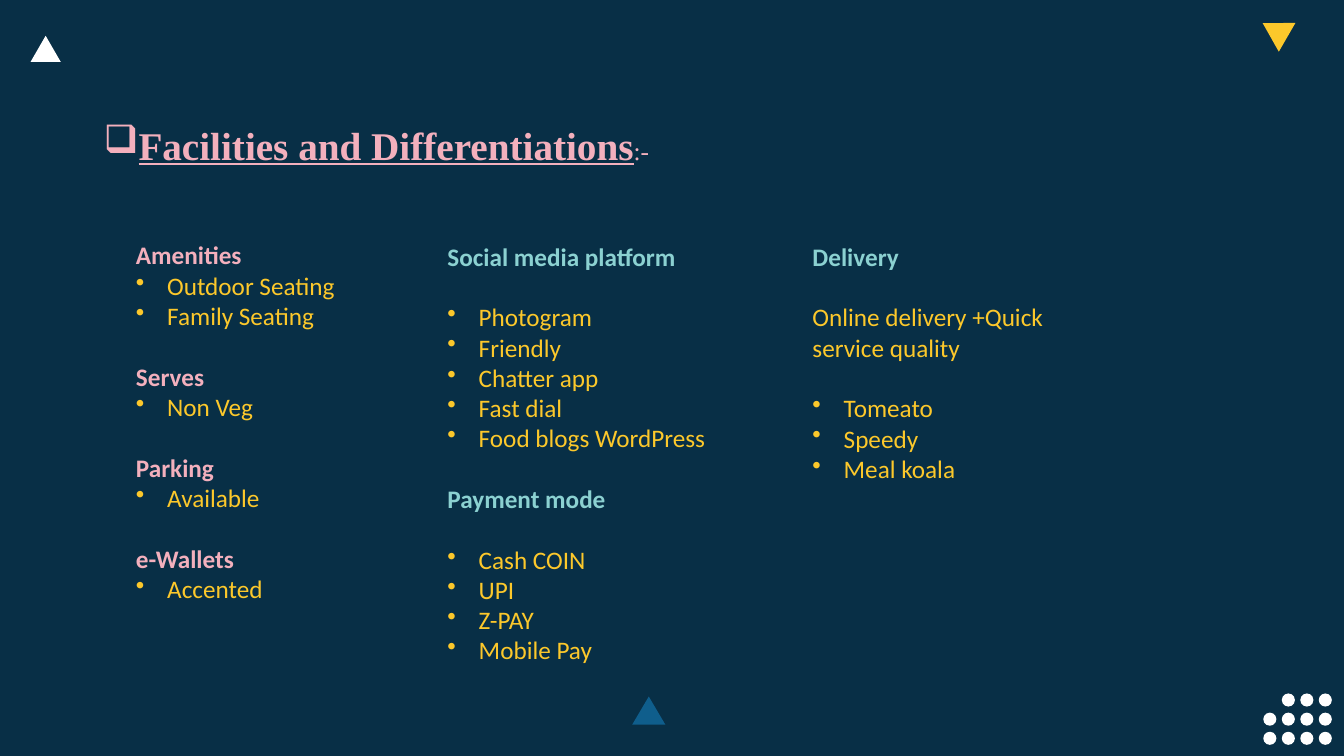
from lxml import etree
from pptx import Presentation
from pptx.dml.color import RGBColor
from pptx.enum.shapes import MSO_SHAPE as Preset
from pptx.enum.text import MSO_AUTO_SIZE as AutoSize
from pptx.oxml.ns import qn
from pptx.util import Inches, Pt

WIDTH, HEIGHT = 13.33, 7.5
COLORS = {
    "navy": "082F46", "white": "FFFFFF", "blue": "0F5E8C",
    "yellow": "FCC82B", "pink": "F3B0BD", "teal": "8BD1D1",
}
TITLE, TITLE_TAIL = "Facilities and Differentiations", ":-"
TITLE_BOX = (0.93, 1.15, 9.11, 0.57)

# Each column: box, heading colour, and lines of (kind, text, blank line above)
COLUMNS = [
    ((1.25, 2.33, 2.49, 4.04), "pink", [
        ("heading", "Amenities", False),
        ("bullet", "Outdoor Seating", False),
        ("bullet", "Family Seating", False),
        ("heading", "Serves", True),
        ("bullet", "Non Veg", False),
        ("heading", "Parking", True),
        ("bullet", "Available", False),
        ("heading", "e-Wallets", True),
        ("bullet", "Accented", False),
    ]),
    ((4.34, 2.34, 3.0, 4.34), "teal", [
        ("heading", "Social media platform", False),
        ("bullet", "Photogram", True),
        ("bullet", "Friendly", False),
        ("bullet", "Chatter app", False),
        ("bullet", "Fast dial", False),
        ("bullet", "Food blogs WordPress", False),
        ("heading", "Payment mode", True),
        ("bullet", "Cash COIN", True),
        ("bullet", "UPI", False),
        ("bullet", "Z-PAY", False),
        ("bullet", "Mobile Pay", False),
    ]),
    ((7.96, 2.34, 2.92, 2.52), "teal", [
        ("heading", "Delivery", False),
        ("plain", "Online delivery +Quick service quality", True),
        ("bullet", "Tomeato", True),
        ("bullet", "Speedy", False),
        ("bullet", "Meal koala", False),
    ]),
]
TEXT_SIZE, BLANK_LINE = 18, 21.8
INDENT = 0.31

# Triangles: box, rotation, colour
TRIANGLES = [
    ((0.34, 0.42, 0.3, 0.26), 120, "white"),
    ((6.27, 6.91, 0.33, 0.28), 0, "blue"),
    ((12.48, 0.16, 0.33, 0.28), 300, "yellow"),
]
# Dot grid: the top left place stays empty
DOT_ROWS = [(1, 2, 3), (0, 1, 2, 3), (0, 1, 2, 3)]
DOT_LEFT, DOT_TOP, DOT_SIZE = 12.53, 6.88, 0.13
DOT_STEP_X, DOT_STEP_Y = 0.55 / 3, 0.19


def color(name):
    return RGBColor.from_string(COLORS[name])


def add_solid(shapes, preset, box, fill, rotation=0):
    shape = shapes.add_shape(preset, *map(Inches, box))
    shape.rotation = rotation
    shape.shadow.inherit = False
    shape.fill.solid()
    shape.fill.fore_color.rgb = color(fill)
    shape.line.fill.background()


def add_text_box(slide, box):
    frame = slide.shapes.add_textbox(*map(Inches, box)).text_frame
    frame.word_wrap = True
    frame.auto_size = AutoSize.SHAPE_TO_FIT_TEXT
    return frame


def add_bullet(paragraph, character):
    properties = paragraph._p.get_or_add_pPr()
    properties.set("marL", str(Inches(INDENT)))
    properties.set("indent", str(-Inches(INDENT)))
    etree.SubElement(properties, qn("a:buChar")).set("char", character)


def add_run(paragraph, text, font_name, size, fill, strong=False, underline=False):
    run = paragraph.add_run()
    run.text = text
    run.font.name = font_name
    run.font.size = Pt(size)
    run.font.color.rgb = color(fill)
    run.font.bold = strong
    run.font.underline = underline


def add_column(slide, box, heading_color, lines):
    frame = add_text_box(slide, box)
    for index, (kind, text, blank_above) in enumerate(lines):
        paragraph = frame.add_paragraph() if index else frame.paragraphs[0]
        if kind == "bullet":
            add_bullet(paragraph, "•")
        if blank_above:
            paragraph.space_before = Pt(BLANK_LINE)
        heading = kind == "heading"
        add_run(paragraph, text, "Calibri", TEXT_SIZE,
                heading_color if heading else "yellow", heading)


def main():
    presentation = Presentation()
    presentation.slide_width = Inches(WIDTH)
    presentation.slide_height = Inches(HEIGHT)
    slide = presentation.slides.add_slide(presentation.slide_layouts[6])
    slide.background.fill.solid()
    slide.background.fill.fore_color.rgb = color("navy")

    # Decoration
    dots = slide.shapes.add_group_shape().shapes
    for row, places in enumerate(DOT_ROWS):
        for column in places:
            add_solid(dots, Preset.OVAL,
                      (DOT_LEFT + column * DOT_STEP_X, DOT_TOP + row * DOT_STEP_Y,
                       DOT_SIZE, DOT_SIZE), "white")
    for box, rotation, fill in TRIANGLES:
        add_solid(slide.shapes, Preset.ISOSCELES_TRIANGLE, box, fill, rotation)

    # Title
    title = add_text_box(slide, TITLE_BOX).paragraphs[0]
    add_bullet(title, "❑")
    add_run(title, TITLE, "Times New Roman", 28, "pink", True, True)
    add_run(title, TITLE_TAIL, "Times New Roman", 18, "pink")

    # Text columns
    for box, heading_color, lines in COLUMNS:
        add_column(slide, box, heading_color, lines)

    presentation.save("out.pptx")


if __name__ == "__main__":
    main()
